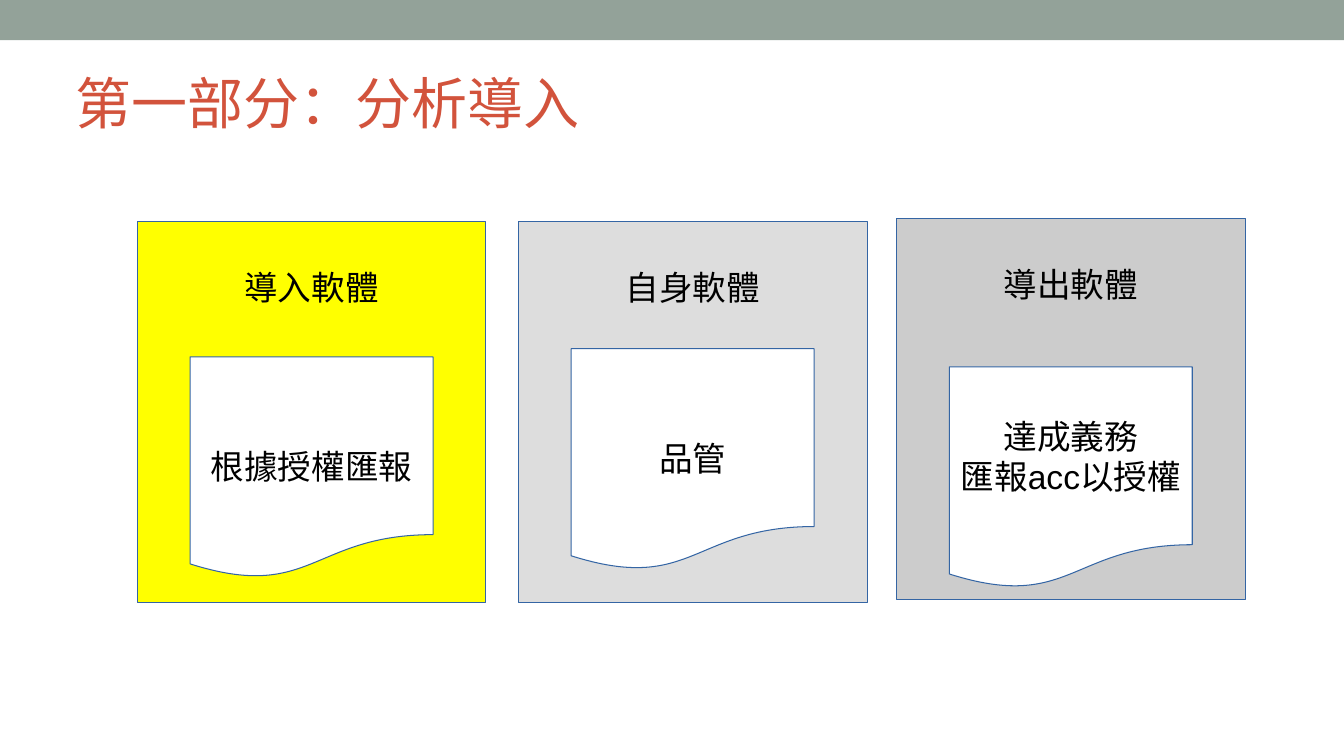
from pptx import Presentation
from pptx.dml.color import RGBColor
from pptx.enum import shapes, text
from pptx.util import Inches, Pt

COLORS = {
    "band": "93A299", "title": "D2533C", "outline": "3465A4", "ink": "000000",
    "incoming": "FFFF00", "own": "DDDDDD", "outgoing": "CCCCCC", "paper": "FFFFFF",
}
PANELS = [
    (1.36, 2.2, "incoming", "導入軟體", 1.34, ["根據授權匯報"]),
    (5.14, 2.2, "own", "自身軟體", 1.26, ["品管"]),
    (8.89, 2.17, "outgoing", "導出軟體", 1.47, ["達成義務", "匯報acc以授權"]),
]
PANEL_WIDTH, PANEL_HEIGHT = 3.46, 3.78
PAPER_WIDTH, PAPER_HEIGHT = 2.41, 2.2
LINE_HEIGHT = 0.4


def color(name):
    return RGBColor.from_string(COLORS[name])


def add_span(para, words, font, size, ink):
    span = para.add_run()
    span.text = words
    span.font.name = font
    span.font.size = Pt(size)
    span.font.color.rgb = color(ink)


def add_block(page, kind, left, top, width, height, fill):
    block = page.shapes.add_shape(
        kind, Inches(left), Inches(top), Inches(width), Inches(height))
    block.shadow.inherit = False
    block.fill.solid()
    block.fill.fore_color.rgb = color(fill)
    return block


def add_label(block, lines, anchor, drop):
    block.line.color.rgb = color("outline")
    block.line.width = Pt(0.75)
    frame = block.text_frame
    frame.word_wrap = True
    frame.vertical_anchor = anchor
    frame.margin_left = frame.margin_right = Inches(0.1)
    frame.margin_top = Inches(0.05 + drop)
    frame.margin_bottom = Inches(0.05)
    para = frame.paragraphs[0]
    para.alignment = text.PP_ALIGN.CENTER
    for index, words in enumerate(lines):
        if index:
            para.add_line_break()
        add_span(para, words, "Arial", 24, "ink")


def add_header(page, width):
    band = add_block(page, shapes.MSO_SHAPE.RECTANGLE, 0, 0, width, 0.4, "band")
    band.line.fill.background()
    title = page.shapes.title
    title.left, title.top = Inches(0.75), Inches(0.2)
    title.width, title.height = Inches(12), Inches(1.15)
    frame = title.text_frame
    frame.auto_size = text.MSO_AUTO_SIZE.NONE
    frame.word_wrap = True
    frame.vertical_anchor = text.MSO_ANCHOR.BOTTOM
    frame.margin_left = frame.margin_right = 0
    frame.margin_top = frame.margin_bottom = 0
    para = frame.paragraphs[0]
    para.alignment = text.PP_ALIGN.LEFT
    add_span(para, "第一部分：分析導入", "Open Sans", 40, "title")


def add_panel(page, left, top, fill, heading, paper_offset, lines):
    panel = add_block(page, shapes.MSO_SHAPE.RECTANGLE, left, top,
                      PANEL_WIDTH, PANEL_HEIGHT, fill)
    add_label(panel, [heading], text.MSO_ANCHOR.TOP, LINE_HEIGHT)
    paper = add_block(page, shapes.MSO_SHAPE.FLOWCHART_DOCUMENT,
                      left + (PANEL_WIDTH - PAPER_WIDTH) / 2, top + paper_offset,
                      PAPER_WIDTH, PAPER_HEIGHT, "paper")
    drop = LINE_HEIGHT if len(lines) == 1 else 0
    add_label(paper, lines, text.MSO_ANCHOR.MIDDLE, drop)


def main():
    deck = Presentation()
    deck.slide_width, deck.slide_height = Inches(13.33), Inches(7.5)
    page = deck.slides.add_slide(deck.slide_layouts[5])
    add_header(page, 13.33)
    for panel in PANELS:
        add_panel(page, *panel)
    deck.save("out.pptx")


if __name__ == "__main__":
    main()
